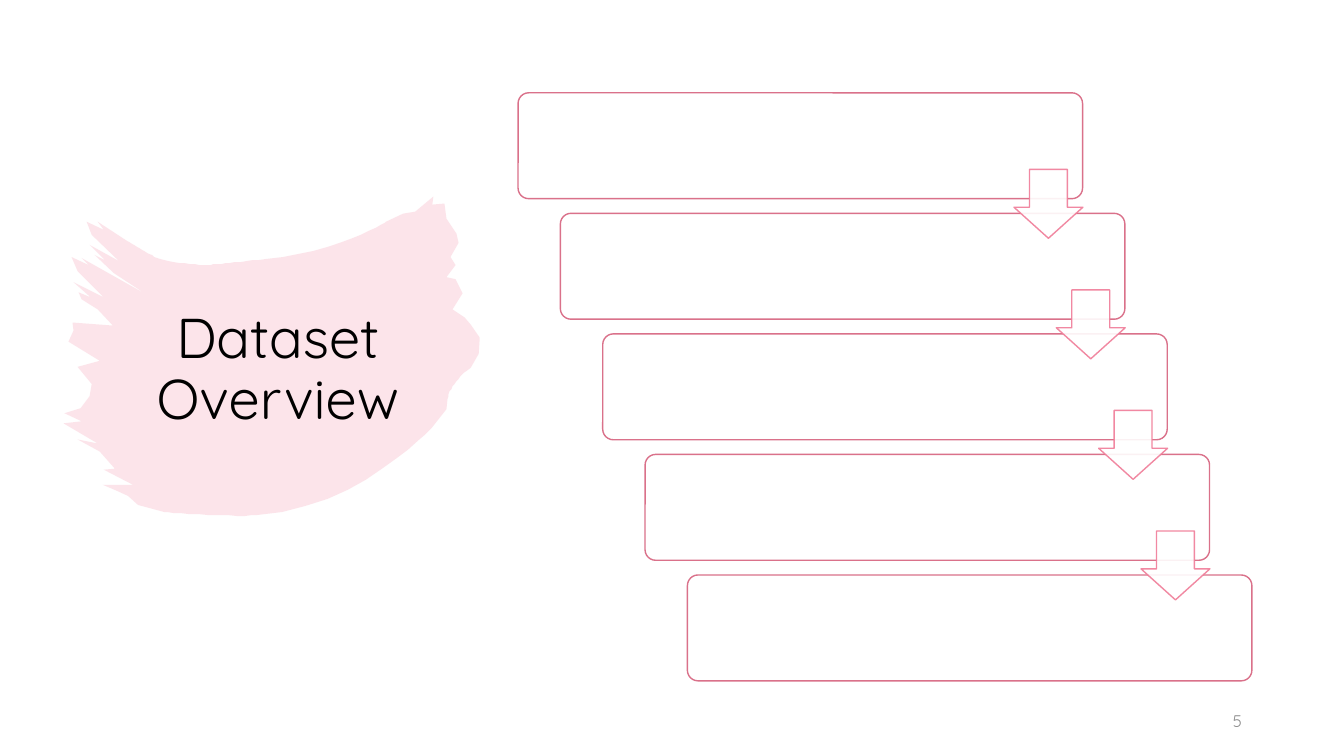
from lxml.etree import SubElement
from pptx import Presentation
from pptx.dml.color import RGBColor
from pptx.enum.shapes import MSO_SHAPE
from pptx.enum.text import MSO_ANCHOR, PP_ALIGN
from pptx.oxml.ns import qn
from pptx.util import Pt

COLORS = {
    "white": "FFFFFF",
    "pink": "F07C98",
    "rose": "DA718A",
    "black": "000000",
    "gray": "8C8C8C",
}
FONT = "Quicksand"
UNIT = 0.72
CURVE_STEPS = 12
BOX_COUNT = 5
BOX_LEFT, BOX_TOP = 370.08, 66.3
BOX_WIDTH, BOX_HEIGHT = 403.2, 75.6
STEP_X, STEP_Y = 30.24, 86.1
ARROW_SIZE = 49.2
ARROW_DX, ARROW_DY = 354.24, 54.7

BRUSH = [
    (430, 195), (429, 203), (441, 202), (443, 217), (453, 232), (455, 241),
    (447, 255), (452, 263), (443, 275), (452, 277), (459, 291), (449, 307),
    (461, 315), (467, 322), (476, 335), (475, 351), (467, 365),
    (452, 376, 446, 386, 444, 396), (443, 406), (428, 425),
    (427, 425, 357, 504, 255, 511), (239, 513, 172, 509, 163, 508),
    (137, 501), (127, 492), (116, 487), (102, 481), (132, 481), (103, 466),
    (114, 465), (99, 448), (77, 436), (97, 440), (63, 420), (81, 418),
    (64, 410), (80, 405), (89, 393), (91, 381), (77, 364), (99, 358),
    (68, 339), (73, 328), (72, 320), (112, 323), (97, 307), (81, 297),
    (78, 290), (90, 295), (73, 280), (103, 295), (77, 269), (71, 255),
    (88, 263), (81, 256), (145, 292), (113, 271), (94, 253), (104, 258),
    (89, 243), (118, 259), (91, 233), (86, 220), (103, 228), (97, 220),
    (126, 239), (136, 245, 145, 251, 156, 256), (166, 261, 201, 263, 207, 263),
    (216, 262, 236, 260, 264, 257), (332, 251, 381, 222, 383, 220),
    (400, 212), (412, 210),
]


def rgb(name):
    return RGBColor.from_string(COLORS[name])


def set_alpha(sp, percent):
    for clr in sp._element.spPr.iter(qn("a:srgbClr")):
        SubElement(clr, qn("a:alpha"), val=str(percent * 1000))


def bezier(ends, t):
    u = 1 - t
    weights = (u ** 3, 3 * u * u * t, 3 * u * t * t, t ** 3)
    return tuple(sum(w * p[axis] for w, p in zip(weights, ends)) for axis in (0, 1))


def outline_points(segments):
    points = [segments[0]]
    for seg in segments[1:]:
        if len(seg) == 2:
            points.append(seg)
        else:
            ends = (points[-1], seg[:2], seg[2:4], seg[4:])
            points += [bezier(ends, i / CURVE_STEPS) for i in range(1, CURVE_STEPS + 1)]
    return points


def style(sp, fill, line=None):
    sp.shadow.inherit = False
    sp.fill.solid()
    sp.fill.fore_color.rgb = rgb(fill)
    if line:
        sp.line.color.rgb = rgb(line)
        sp.line.width = Pt(1)
    else:
        sp.line.fill.background()


def add_brush(s):
    first, *rest = outline_points(BRUSH)
    builder = s.shapes.build_freeform(*first, scale=Pt(UNIT))
    builder.add_line_segments(rest, close=True)
    sp = builder.convert_to_shape()
    style(sp, "pink")
    set_alpha(sp, 20)


def add_text(s, text, left, top, width, height, size, color, align, spacing=1.0):
    tf = s.shapes.add_textbox(Pt(left), Pt(top), Pt(width), Pt(height)).text_frame
    tf.word_wrap = True
    tf.vertical_anchor = MSO_ANCHOR.MIDDLE
    p = tf.paragraphs[0]
    p.alignment = align
    p.line_spacing = spacing
    r = p.add_run()
    r.text = text
    r.font.name = FONT
    r.font.size = Pt(size)
    r.font.color.rgb = rgb(color)


def add_preset(s, kind, left, top, width, height, adjustments, line):
    sp = s.shapes.add_shape(kind, Pt(left), Pt(top), Pt(width), Pt(height))
    for i, value in enumerate(adjustments):
        sp.adjustments[i] = value
    style(sp, "white", line)
    return sp


def add_staircase(s):
    corners = [(BOX_LEFT + i * STEP_X, BOX_TOP + i * STEP_Y) for i in range(BOX_COUNT)]
    for x, y in corners:
        add_preset(s, MSO_SHAPE.ROUNDED_RECTANGLE, x, y, BOX_WIDTH, BOX_HEIGHT,
                   [0.1], "rose")
    for x, y in corners[:-1]:
        arrow = add_preset(s, MSO_SHAPE.DOWN_ARROW, x + ARROW_DX, y + ARROW_DY,
                           ARROW_SIZE, ARROW_SIZE, [0.55, 0.45], "pink")
        set_alpha(arrow, 90)


def main():
    prs = Presentation()
    prs.slide_width, prs.slide_height = Pt(960), Pt(540)
    s = prs.slides.add_slide(prs.slide_layouts[6])
    add_brush(s)
    add_text(s, "Dataset Overview", 66.24, 205.92, 264.24, 118.08, 40, "black",
             PP_ALIGN.CENTER, 0.9)
    add_staircase(s)
    add_text(s, "5", 678.24, 500.4, 216, 28.8, 12, "gray", PP_ALIGN.RIGHT)
    prs.save("out.pptx")


if __name__ == "__main__":
    main()
